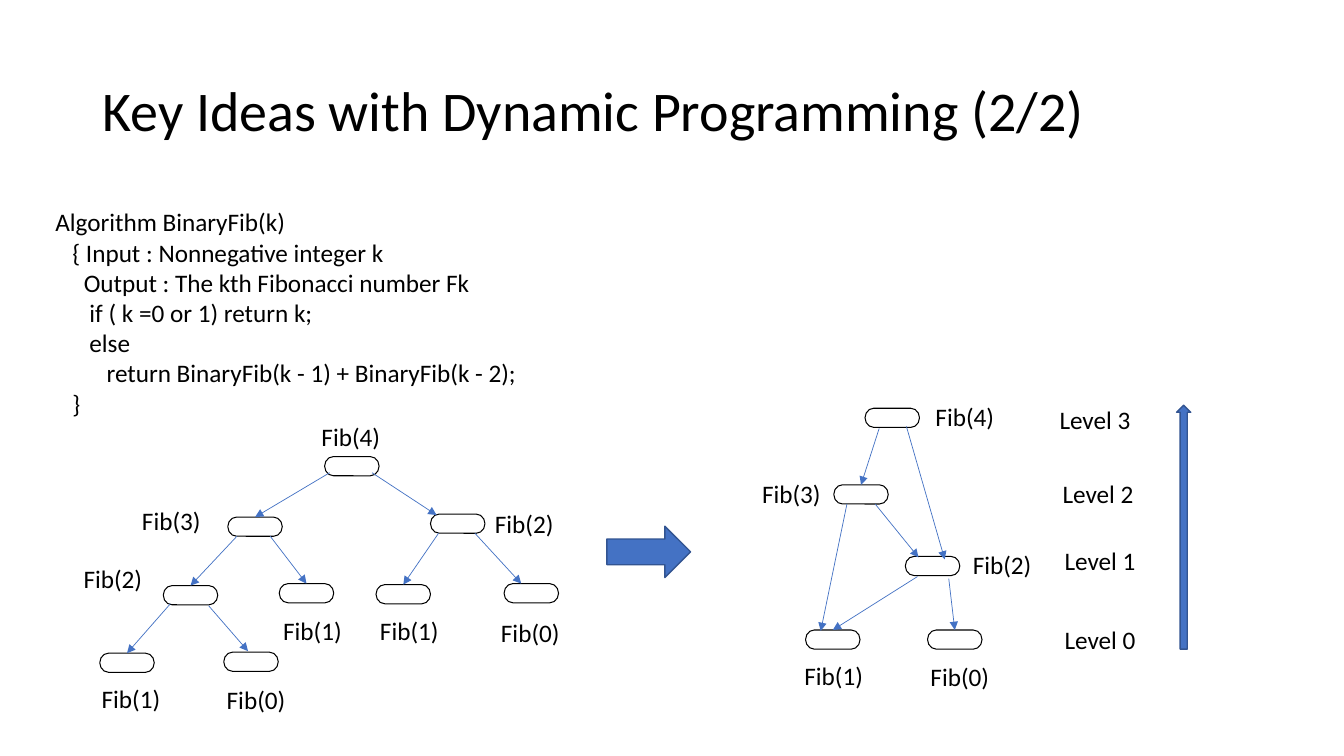
from lxml import etree
from pptx import Presentation, util as u
from pptx.dml.color import RGBColor
from pptx.enum import shapes, text
from pptx.oxml import ns

BLACK = RGBColor(0x00, 0x00, 0x00)
WHITE = RGBColor(0xFF, 0xFF, 0xFF)
BLUE = RGBColor(0x44, 0x72, 0xC4)
DARK_BLUE = RGBColor(0x32, 0x54, 0x91)
PX = u.Inches(1) // 100
SPACE = u.Pt(4.07)

CODE = [
    (0, "Algorithm BinaryFib(k)"),
    (3, "{ Input : Nonnegative integer k"),
    (5, "Output : The kth Fibonacci number Fk"),
    (6, "if ( k =0 or 1) return k;"),
    (6, "else"),
    (9, "return BinaryFib(k - 1) + BinaryFib(k - 2);"),
    (3, "}"),
]

CALL_TREE = {
    "root": (322, 453, "Fib(4)", 309, 413),
    "left": (226, 513, "Fib(3)", 131, 496),
    "right": (427, 510, "Fib(2)", 481, 499),
    "left left": (162, 581, "Fib(2)", 73, 554),
    "left right": (277, 579, "Fib(1)", 271, 606),
    "right left": (373, 580, "Fib(1)", 367, 606),
    "right right": (500, 579, "Fib(0)", 487, 608),
    "leaf one": (99, 648, "Fib(1)", 91, 673),
    "leaf zero": (222, 647, "Fib(0)", 215, 674),
}
CALL_EDGES = [
    (327, 469, "left"),
    (369, 469, (433, 511)),
    (235, 532, "left left"),
    (268, 532, "left right"),
    (435, 529, "right left"),
    (471, 529, (517, 579)),
    (169, 599, "leaf one"),
    (207, 601, (246, 646)),
]

SHARED_GRAPH = {
    "four": (858, 405, "Fib(4)", 918, 393),
    "three": (827, 481, "Fib(3)", 746, 470),
    "two": (898, 552, "Fib(2)", 955, 540),
    "one": (799, 625, "Fib(1)", 788, 650),
    "zero": (920, 625, "Fib(0)", 913, 651),
}
SHARED_EDGES = [
    (872, 425, "three"),
    (899, 423, (937, 555)),
    (840, 500, (814, 626)),
    (868, 500, (911, 553)),
    (910, 572, "one"),
    (941, 574, "zero"),
]

LEVELS = [
    ("Level 3", 1041, 396),
    ("Level 2", 1044, 470),
    ("Level 1", 1046, 536),
    ("Level 0", 1046, 614),
]


class Canvas:
    """Holds the text style and the current slide, and draws each kind of element."""

    font = "Calibri"
    size = 18

    def __init__(self, presentation):
        self.slide = presentation.slides.add_slide(presentation.slide_layouts[5])
        self.shapes = self.slide.shapes

    def run(self, paragraph, words, size=size):
        run = paragraph.add_run()
        run.text = words
        run.font.name = self.font
        run.font.size = u.Pt(size)
        run.font.color.rgb = BLACK

    def title(self, words, left, top, width, height):
        shape = self.shapes.title
        shape.left, shape.top = left * PX, top * PX
        shape.width, shape.height = width * PX, height * PX
        frame = shape.text_frame
        frame.auto_size = text.MSO_AUTO_SIZE.NONE
        frame.vertical_anchor = text.MSO_ANCHOR.MIDDLE
        paragraph = frame.paragraphs[0]
        paragraph.alignment = text.PP_ALIGN.LEFT
        paragraph.line_spacing = 0.9
        self.run(paragraph, words, 40)

    def text_box(self, lines, left, top, width, height, wrap=False):
        box = self.shapes.add_textbox(left * PX, top * PX, width * PX, height * PX)
        frame = box.text_frame
        frame.word_wrap = wrap
        frame.auto_size = text.MSO_AUTO_SIZE.SHAPE_TO_FIT_TEXT
        for number, (indent, words) in enumerate(lines):
            paragraph = frame.add_paragraph() if number else frame.paragraphs[0]
            if indent:
                properties = paragraph._p.get_or_add_pPr()
                properties.set("marL", str(indent * SPACE))
            self.run(paragraph, words)

    def label(self, words, left, top, width=79):
        self.text_box([(0, words)], left, top, width, 40)

    def shape(self, kind, left, top, width, height, fill, line, line_width):
        shape = self.shapes.add_shape(kind, left * PX, top * PX, width * PX, height * PX)
        shape.shadow.inherit = False
        shape.fill.solid()
        shape.fill.fore_color.rgb = fill
        shape.line.color.rgb = line
        shape.line.width = u.Pt(line_width)
        return shape

    def edge(self, left, top, target):
        is_point = isinstance(target, tuple)
        end_x, end_y = target if is_point else (left, top)
        connector = self.shapes.add_connector(
            shapes.MSO_CONNECTOR.STRAIGHT, left * PX, top * PX, end_x * PX, end_y * PX)
        if not is_point:
            connector.end_connect(target, 0)
        connector.line.color.rgb = BLUE
        connector.line.width = u.Pt(0.5)
        arrowhead = etree.SubElement(connector.line._get_or_add_ln(), ns.qn("a:tailEnd"))
        arrowhead.set("type", "triangle")
        etree.SubElement(connector._element.spPr, ns.qn("a:effectLst"))

    def graph(self, nodes, edges):
        drawn = {}
        for name, (left, top, words, label_left, label_top) in nodes.items():
            drawn[name] = self.shape(
                shapes.MSO_SHAPE.FLOWCHART_TERMINATOR, left, top, 54, 19, WHITE, BLACK, 0)
            self.label(words, label_left, label_top)
        for left, top, target in edges:
            self.edge(left, top, drawn.get(target, target))


def main():
    presentation = Presentation()
    presentation.slide_width = u.Inches(13.33)
    presentation.slide_height = u.Inches(7.5)
    canvas = Canvas(presentation)
    canvas.title("Key Ideas with Dynamic Programming (2/2)", 92, 40, 1150, 145)
    canvas.text_box(CODE, 45, 200, 499, 222, wrap=True)
    canvas.graph(CALL_TREE, CALL_EDGES)
    canvas.graph(SHARED_GRAPH, SHARED_EDGES)
    canvas.shape(shapes.MSO_SHAPE.RIGHT_ARROW, 602, 522, 83, 51, BLUE, DARK_BLUE, 1)
    for words, left, top in LEVELS:
        canvas.label(words, left, top, 92)
    canvas.shape(shapes.MSO_SHAPE.UP_ARROW, 1167, 402, 14, 242, BLUE, DARK_BLUE, 1)
    presentation.save("out.pptx")


if __name__ == "__main__":
    main()
